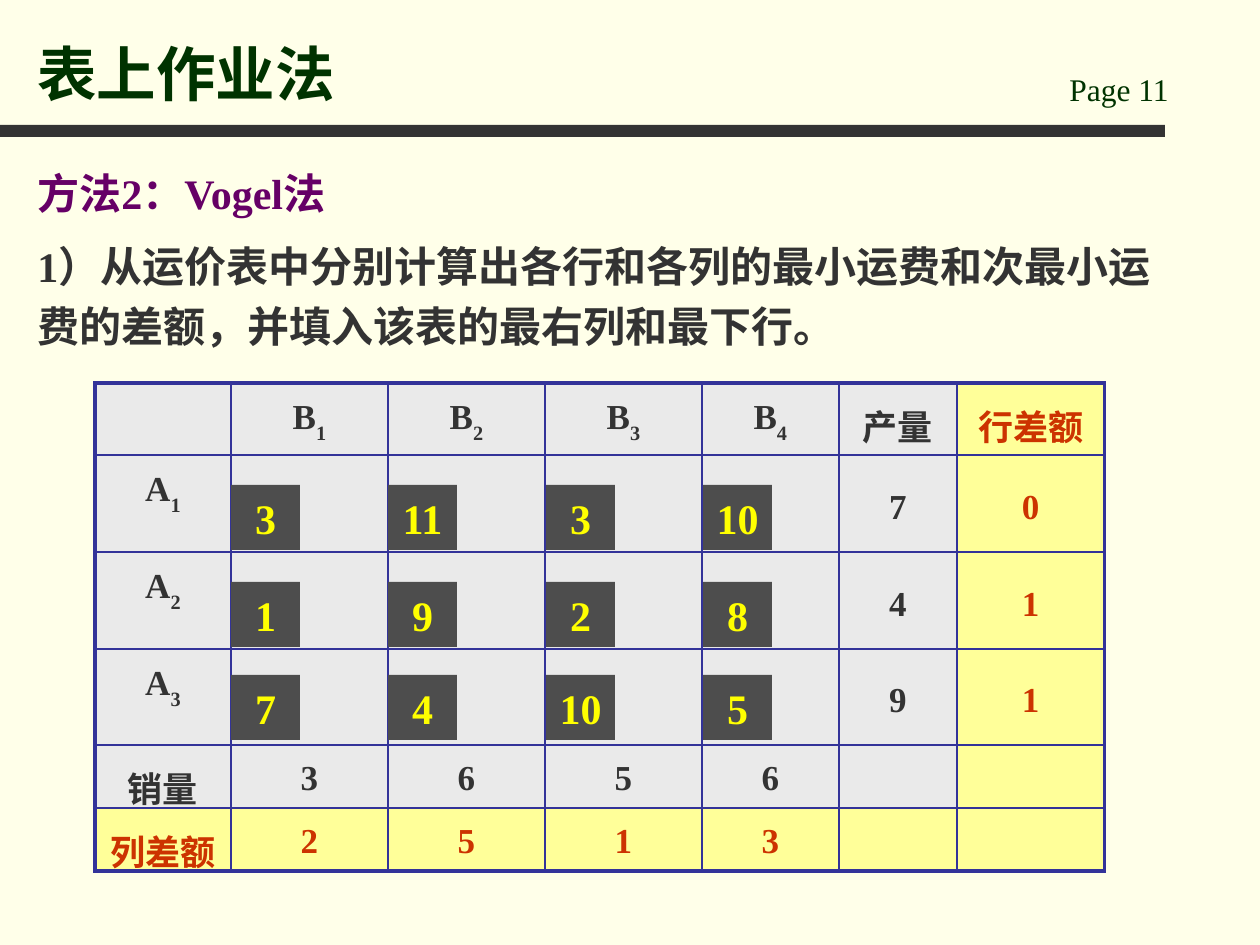
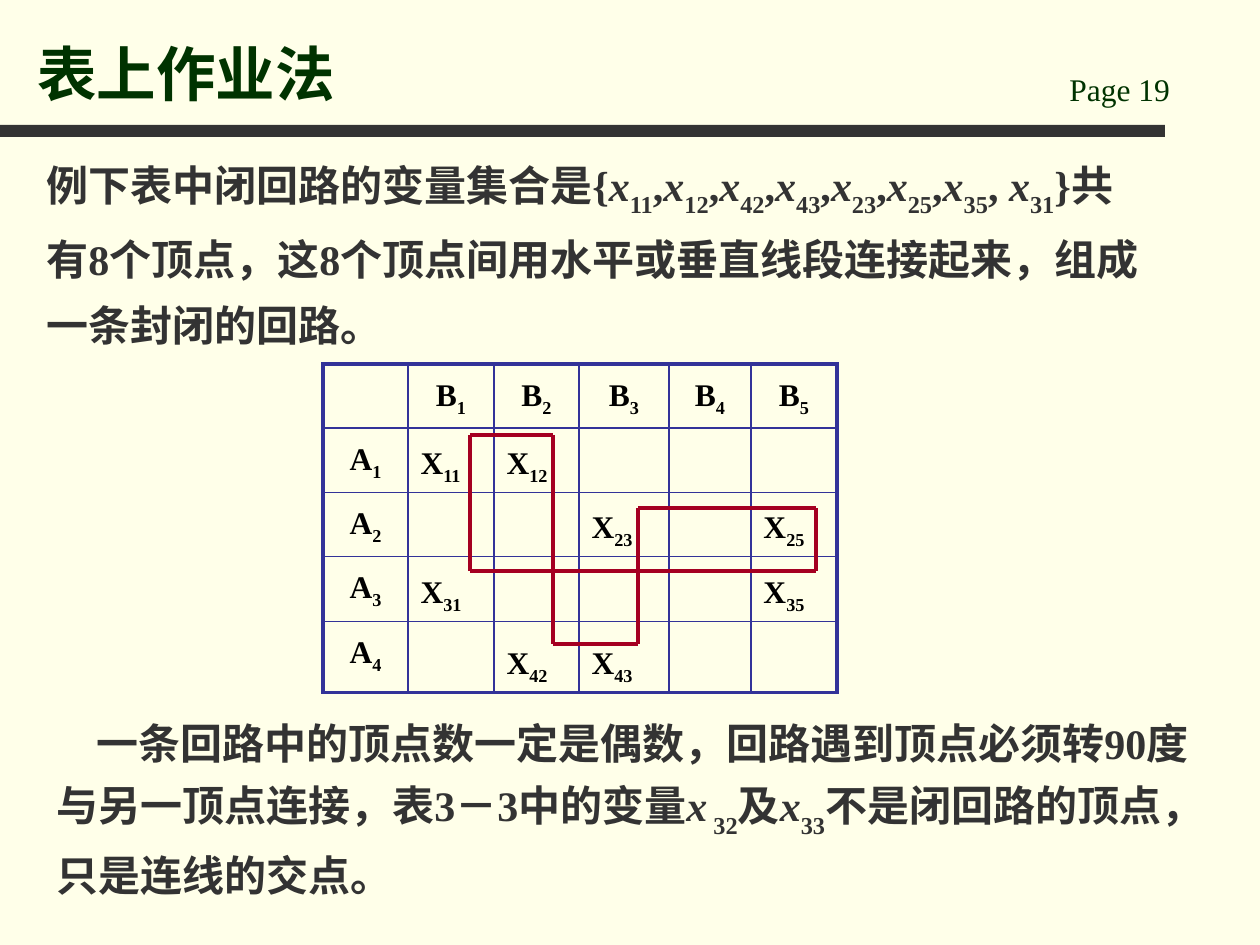
from dataclasses import dataclass
from itertools import pairwise
from typing import NamedTuple

from lxml import etree
from pptx import Presentation
from pptx.dml.color import RGBColor
from pptx.enum.shapes import MSO_CONNECTOR, MSO_SHAPE
from pptx.enum.text import MSO_ANCHOR, PP_ALIGN
from pptx.oxml.ns import qn
from pptx.util import Pt

RECTANGLE = MSO_SHAPE.RECTANGLE
STRAIGHT = MSO_CONNECTOR.STRAIGHT
TOP, MIDDLE, BOTTOM = MSO_ANCHOR.TOP, MSO_ANCHOR.MIDDLE, MSO_ANCHOR.BOTTOM
LEFT, CENTER = PP_ALIGN.LEFT, PP_ALIGN.CENTER

PX_PER_INCH = 126
FONT = "Times New Roman"
COLORS = {
    "background": "FFFFE9",
    "title": "003300",
    "body": "333333",
    "method": "660066",
    "grid": "333399",
    "cell": "EAEAEA",
    "difference_cell": "FFFF99",
    "difference": "CC3300",
    "cost_box": "4D4D4D",
    "cost": "FFFF00",
    "black": "000000",
    "loop": "A50021",
}


class Run(NamedTuple):
    text: str
    italic: bool = False
    subscript: bool = False


class Box(NamedTuple):
    left: int
    top: int
    width: int
    height: int


@dataclass(frozen=True)
class TextStyle:
    size: int
    color: str
    bold: bool = True
    line_spacing: float = 1.0
    align: int = LEFT
    anchor: int = TOP
    indent: int = 0
    baseline: int = -30


@dataclass(frozen=True)
class CellLook:
    style: TextStyle
    fill: str | None = None


@dataclass(frozen=True)
class Grid:
    left: int
    top: int
    columns: list[int]
    rows: list[int]
    labels: list[list[str]]


def px(length: int) -> int:
    return round(length * 914400 / PX_PER_INCH)


def rgb(name: str) -> RGBColor:
    return RGBColor.from_string(COLORS[name])


def subscripted(label: str, italic: bool = False) -> list[Run]:
    """Turn "B_1" into a letter and its subscript."""
    letter, _, index = label.partition("_")
    runs = [Run(letter, italic=italic)] if letter else []
    return runs + ([Run(index, subscript=True)] if index else [])


def write(frame, runs: list[Run], style: TextStyle) -> None:
    paragraph = frame.paragraphs[0]
    paragraph.alignment = style.align
    paragraph.line_spacing = style.line_spacing
    if style.indent:
        paragraph._p.get_or_add_pPr().set("indent", str(px(style.indent)))
    for part in runs:
        run = paragraph.add_run()
        run.text = part.text
        run.font.name = FONT
        run.font.size = Pt(style.size)
        run.font.bold = style.bold
        run.font.italic = part.italic
        run.font.color.rgb = rgb(style.color)
        if part.subscript:
            run._r.get_or_add_rPr().set("baseline", str(style.baseline * 1000))


def add_text(slide, box: Box, runs: list[Run], style: TextStyle) -> None:
    frame = slide.shapes.add_textbox(*map(px, box)).text_frame
    frame.word_wrap = True
    frame.vertical_anchor = style.anchor
    write(frame, runs, style)


def add_rectangle(slide, box: Box, fill: str):
    rectangle = slide.shapes.add_shape(RECTANGLE, *map(px, box))
    rectangle.shadow.inherit = False
    rectangle.fill.solid()
    rectangle.fill.fore_color.rgb = rgb(fill)
    rectangle.line.fill.background()
    return rectangle


def set_borders(cell, widths: dict[str, float]) -> None:
    properties = cell._tc.get_or_add_tcPr()
    for position, (side, width) in enumerate(widths.items()):
        line = etree.Element(qn(f"a:ln{side}"), w=str(Pt(width)))
        solid = etree.SubElement(line, qn("a:solidFill"))
        etree.SubElement(solid, qn("a:srgbClr"), val=COLORS["grid"])
        properties.insert(position, line)


def add_grid(slide, grid: Grid, look) -> None:
    """Draw a table; look(row, column, label) gives each cell's look."""
    row_count, column_count = len(grid.rows), len(grid.columns)
    box = Box(grid.left, grid.top, sum(grid.columns), sum(grid.rows))
    table = slide.shapes.add_table(row_count, column_count, *map(px, box)).table
    table.first_row = table.horz_banding = False
    for column, width in zip(table.columns, grid.columns):
        column.width = px(width)
    for row, height in zip(table.rows, grid.rows):
        row.height = px(height)

    for r, labels in enumerate(grid.labels):
        for c, label in enumerate(labels):
            cell = table.cell(r, c)
            cell_look = look(r, c, label)
            if cell_look.fill:
                cell.fill.solid()
                cell.fill.fore_color.rgb = rgb(cell_look.fill)
            else:
                cell.fill.background()
            outer = {
                "L": c == 0,
                "R": c == column_count - 1,
                "T": r == 0,
                "B": r == row_count - 1,
            }
            set_borders(cell, {side: 2.25 if edge else 1 for side, edge in outer.items()})
            cell.vertical_anchor = cell_look.style.anchor
            write(cell.text_frame, subscripted(label), cell_look.style)


def add_loop(slide, corners: list[tuple[int, int]]) -> None:
    for start, end in pairwise(corners + corners[:1]):
        side = slide.shapes.add_connector(STRAIGHT, *map(px, start + end))
        side.line.color.rgb = rgb("loop")
        side.line.width = Pt(2.25)
        etree.SubElement(side._element.spPr, qn("a:effectLst"))


def new_slide(deck, page: int):
    """Blank slide with the shared background, band, page number and title."""
    slide = deck.slides.add_slide(deck.slide_layouts[6])
    slide.background.fill.solid()
    slide.background.fill.fore_color.rgb = rgb("background")
    add_rectangle(slide, Box(0, 125, 1165, 12), "body")
    add_text(slide, Box(1057, 64, 179, 50), [Run(f"Page {page}")],
             TextStyle(18, "title", bold=False))
    add_text(slide, Box(25, 16, 1012, 99), [Run("表上作业法")],
             TextStyle(34, "title", anchor=BOTTOM))
    return slide


def cost_look(row: int, column: int, label: str) -> CellLook:
    is_difference = row == 5 or column == 6
    is_middle = column == 5 or (column == 6 and row > 0)
    style = TextStyle(20, "difference" if is_difference else "body", line_spacing=1.2,
                      align=CENTER, anchor=MIDDLE if is_middle else TOP)
    return CellLook(style, "difference_cell" if is_difference else "cell")


def loop_look(row: int, column: int, label: str) -> CellLook:
    is_variable = label.startswith("X")
    return CellLook(TextStyle(18, "black", line_spacing=1.2, baseline=-25,
                              align=LEFT if is_variable else CENTER,
                              anchor=BOTTOM if is_variable else TOP))


def build_vogel_slide(deck) -> None:
    slide = new_slide(deck, 11)
    add_text(slide, Box(25, 151, 1131, 73), [Run("方法2：Vogel法")],
             TextStyle(24, "method", line_spacing=1.2))
    add_text(slide, Box(25, 224, 1152, 134),
             [Run("1）从运价表中分别计算出各行和各列的最小运费和次最小运费的差额，"
                  "并填入该表的最右列和最下行。")],
             TextStyle(24, "body", line_spacing=1.2))

    # Supply, demand and differences
    add_grid(slide, Grid(
        95, 383,
        columns=[136, 157, 157, 157, 137, 118, 148],
        rows=[68, 97, 97, 96, 63, 63],
        labels=[
            ["", "B_1", "B_2", "B_3", "B_4", "产量", "行差额"],
            ["A_1", "", "", "", "", "7", "0"],
            ["A_2", "", "", "", "", "4", "1"],
            ["A_3", "", "", "", "", "9", "1"],
            ["销量", "3", "6", "5", "6", "", ""],
            ["列差额", "2", "5", "1", "3", "", ""],
        ]), cost_look)

    # Unit costs in the corners of the route cells
    unit_costs = {485: [3, 11, 3, 10], 582: [1, 9, 2, 8], 675: [7, 4, 10, 5]}
    for top, costs in unit_costs.items():
        for i, cost in enumerate(costs):
            cost_box = add_rectangle(slide, Box(231 + 315 * i // 2, top, 69, 65), "cost_box")
            cost_box.text_frame.word_wrap = False
            cost_box.text_frame.vertical_anchor = MIDDLE
            write(cost_box.text_frame, [Run(str(cost))], TextStyle(24, "cost", align=CENTER))


def build_loop_slide(deck) -> None:
    slide = new_slide(deck, 19)

    # Variables of the closed loop
    definition = [Run("例下表中闭回路的变量集合是{")]
    for index in (11, 12, 42, 43, 23, 25, 35):
        definition += subscripted(f"x_{index}", italic=True) + [Run(",")]
    definition += subscripted(" x_31", italic=True)
    definition.append(Run("}共有8个顶点，这8个顶点间用水平或垂直线段连接起来，"
                          "组成一条封闭的回路。"))
    add_text(slide, Box(34, 135, 1121, 248), definition,
             TextStyle(24, "body", line_spacing=1.3))

    # Table with the loop drawn over it
    add_grid(slide, Grid(
        323, 364,
        columns=[85, 86, 85, 90, 82, 86],
        rows=[61, 63, 62, 65, 71],
        labels=[
            ["", "B_1", "B_2", "B_3", "B_4", "B_5"],
            ["A_1", "X_11", "X_12", "", "", ""],
            ["A_2", "", "", "X_23", "", "X_25"],
            ["A_3", "X_31", "", "", "", "X_35"],
            ["A_4", "", "X_42", "X_43", "", ""],
        ]), loop_look)
    add_loop(slide, [(470, 435), (553, 435), (553, 644), (638, 644),
                     (638, 508), (816, 508), (816, 571), (470, 571)])

    # Remark on the vertices
    remark = [
        Run("一条回路中的顶点数一定是偶数，回路遇到顶点必须转90度与另一顶点连接，"
            "表3－3中的变量"),
        *subscripted("x_ 32", italic=True),
        Run("及"),
        *subscripted("x_33", italic=True),
        Run("不是闭回路的顶点，只是连线的交点。"),
    ]
    add_text(slide, Box(44, 701, 1158, 194), remark,
             TextStyle(24, "body", line_spacing=1.2, indent=40))


def main() -> None:
    deck = Presentation()
    deck.slide_width, deck.slide_height = px(1260), px(945)
    build_vogel_slide(deck)
    build_loop_slide(deck)
    deck.save("out.pptx")


if __name__ == "__main__":
    main()
